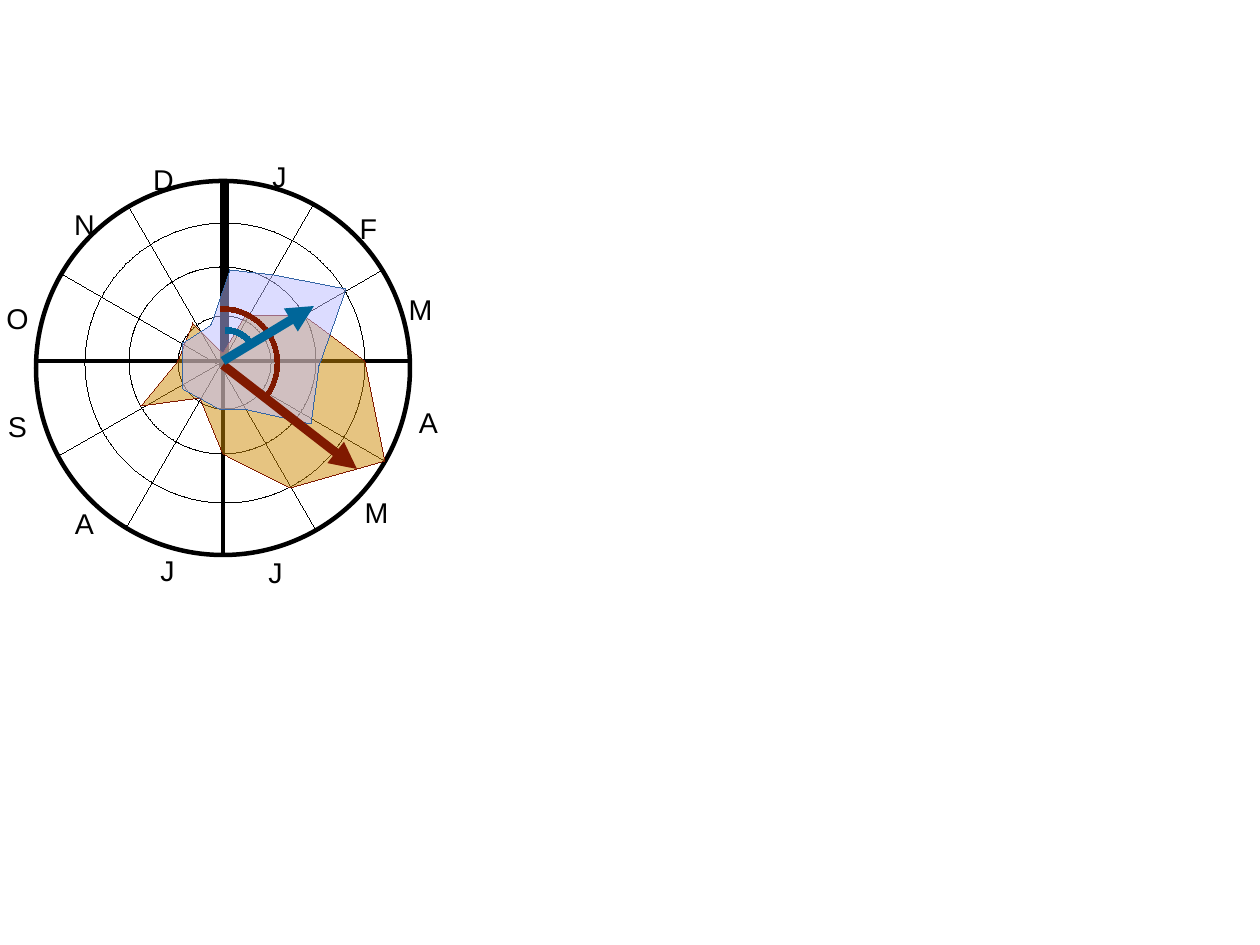
from lxml import etree
from pptx import Presentation
from pptx.dml.color import RGBColor
from pptx.enum.shapes import MSO_CONNECTOR, MSO_SHAPE
from pptx.enum.text import PP_ALIGN
from pptx.oxml.ns import qn
from pptx.util import Pt

PX = 8000
STRAIGHT = MSO_CONNECTOR.STRAIGHT
ELLIPSE = MSO_SHAPE.OVAL
ARC = MSO_SHAPE.BLOCK_ARC
CENTER = PP_ALIGN.CENTER

COLORS = {
    "black": "000000",
    "white": "FFFFFF",
    "red": "801900",
    "blue": "006699",
    "amber": "CF8A05",
    "lavender": "BBBBFF",
    "edge": "3465A4",
}
HAIR, BOLD, HEAVY = 0, 2.83, 5.67

RINGS = [(36, 181, 374, BOLD), (85, 223, 280, HAIR), (129, 267, 187, HAIR), (178, 316, 93, HAIR)]
SPOKES = [
    (36, 361, 409, 361, BOLD),
    (223, 181, 223, 555, BOLD),
    (60, 455, 384, 269, HAIR),
    (129, 207, 316, 530, HAIR),
    (127, 526, 314, 203, HAIR),
    (62, 274, 385, 461, HAIR),
]
MONTHS = [
    ("J", 253, 153), ("F", 342, 205), ("M", 394, 286), ("A", 402, 399),
    ("M", 350, 489), ("J", 249, 549), ("J", 141, 547), ("A", 58, 500),
    ("S", -9, 403), ("O", -9, 295), ("N", 58, 201), ("D", 137, 156),
]
AMBER_AREA = [
    (305, 316), (365, 361), (385, 461), (290, 488), (223, 454), (200, 398),
    (141, 406), (178, 361), (193, 323), (223, 353), (245, 316),
]
LAVENDER_AREA = [
    (230, 270), (274, 275), (346, 289), (319, 366), (311, 424),
    (248, 410), (221, 410), (183, 389), (183, 343), (211, 325),
]


class RoseDiagram:
    font = {"name": "Arial", "size": Pt(18)}

    def __init__(self, slide):
        self.shapes = slide.shapes

    def rgb(self, name):
        return RGBColor.from_string(COLORS[name])

    def outline(self, sp, color, width):
        sp.line.color.rgb = self.rgb(color)
        ln = sp._element.spPr.find(qn("a:ln"))
        ln.set("w", str(Pt(width)))
        return ln

    def paint(self, sp, fill, color, width, alpha=None):
        sp.shadow.inherit = False
        sp.fill.solid()
        sp.fill.fore_color.rgb = self.rgb(fill)
        if alpha is not None:
            clr = sp._element.spPr.find(qn("a:solidFill")).find(qn("a:srgbClr"))
            etree.SubElement(clr, qn("a:alpha")).set("val", str(alpha * 1000))
        self.outline(sp, color, width)

    def preset(self, kind, x, y, w, h):
        return self.shapes.add_shape(kind, x * PX, y * PX, w * PX, h * PX)

    def ring(self, x, y, size, width):
        self.paint(self.preset(ELLIPSE, x, y, size, size), "white", "black", width)

    def line(self, x1, y1, x2, y2, width, color="black", arrow=False):
        sp = self.shapes.add_connector(STRAIGHT, x1 * PX, y1 * PX, x2 * PX, y2 * PX)
        ln = self.outline(sp, color, width)
        if arrow:
            etree.SubElement(ln, qn("a:tailEnd")).set("type", "triangle")
        etree.SubElement(sp._element.spPr, qn("a:effectLst"))

    def label(self, text, x, y):
        tf = self.shapes.add_textbox(x * PX, y * PX, 53 * PX, 43 * PX).text_frame
        tf.word_wrap = True
        p = tf.paragraphs[0]
        p.alignment = CENTER
        r = p.add_run()
        r.text = text
        for key, value in self.font.items():
            setattr(r.font, key, value)
        r.font.color.rgb = self.rgb("black")

    def area(self, points, fill, edge):
        builder = self.shapes.build_freeform(*points[0], scale=PX)
        builder.add_line_segments(points[1:], close=True)
        self.paint(builder.convert_to_shape(), fill, edge, HAIR, alpha=50)

    def arc(self, x, y, w, h, rotation, adjustments, color):
        sp = self.preset(ARC, x, y, w, h)
        sp.rotation = rotation
        for i, value in enumerate(adjustments):
            sp.adjustments[i] = value
        self.paint(sp, color, color, HAIR)


def main():
    prs = Presentation()
    prs.slide_width, prs.slide_height = 1260 * PX, 945 * PX
    s = prs.slides.add_slide(prs.slide_layouts[6])
    rose = RoseDiagram(s)

    for ring in RINGS:
        rose.ring(*ring)
    for spoke in SPOKES:
        rose.line(*spoke)
    for month in MONTHS:
        rose.label(*month)
    rose.line(225, 181, 225, 361, HEAVY)
    rose.area(AMBER_AREA, "amber", "red")
    rose.area(LAVENDER_AREA, "lavender", "edge")
    rose.line(223, 365, 357, 469, HEAVY, "red", arrow=True)
    rose.arc(163, 305, 115, 119, 62.3, (124.74, 199.26, 0.04), "red")
    rose.line(223, 361, 314, 306, HEAVY, "blue", arrow=True)
    rose.arc(198, 328, 61, 57, 30, (140.27, 183.73, 0.1), "blue")

    prs.save("out.pptx")


if __name__ == "__main__":
    main()
